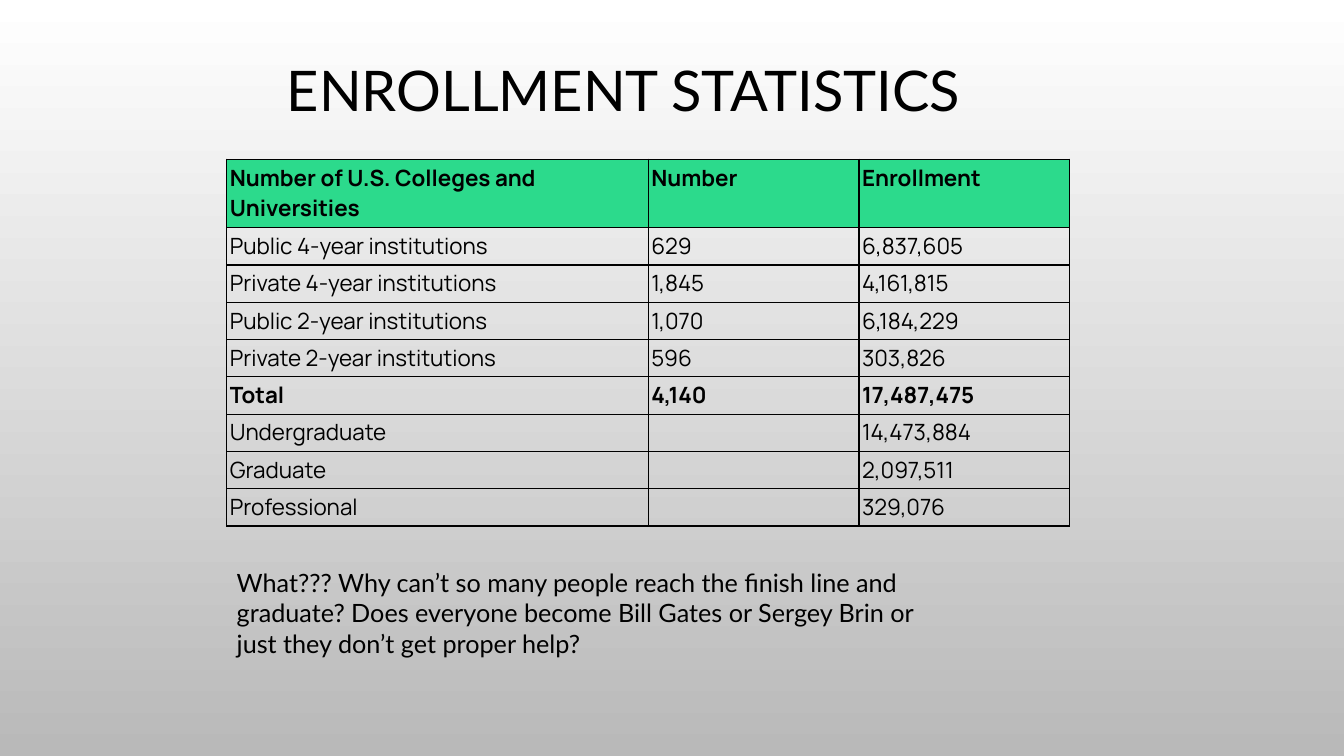
"""Build the enrollment statistics slide with its table and closing question."""
from dataclasses import dataclass

from lxml.etree import SubElement
from pptx import Presentation
from pptx.dml.color import RGBColor
from pptx.enum.text import MSO_ANCHOR, MSO_AUTO_SIZE, PP_ALIGN
from pptx.oxml.ns import qn
from pptx.slide import Slide
from pptx.table import _Cell
from pptx.text.text import _Paragraph
from pptx.util import Emu, Pt

EMU_PER_PX = 9144
BLACK = "000000"
HEADER_GREEN = "2CDA8C"
COLUMN_WIDTHS = (418, 209, 209)
HEADER_HEIGHT, ROW_HEIGHT = 68, 37
CELL_MARGIN = 3


@dataclass(frozen=True)
class Box:
    left: int
    top: int
    width: int
    height: int

    def emu(self) -> tuple[Emu, Emu, Emu, Emu]:
        return px(self.left), px(self.top), px(self.width), px(self.height)


@dataclass(frozen=True)
class EnrollmentRow:
    label: str
    number: str
    enrollment: str
    bold: bool = False
    fill: str | None = None


ROWS = (
    EnrollmentRow("Number of U.S. Colleges and Universities", "Number", "Enrollment",
                  bold=True, fill=HEADER_GREEN),
    EnrollmentRow("Public 4-year institutions", "629", "6,837,605"),
    EnrollmentRow("Private 4-year institutions", "1,845", "4,161,815"),
    EnrollmentRow("Public 2-year institutions", "1,070", "6,184,229"),
    EnrollmentRow("Private 2-year institutions", "596", "303,826"),
    EnrollmentRow("Total", "4,140", "17,487,475", bold=True),
    EnrollmentRow("Undergraduate", "", "14,473,884"),
    EnrollmentRow("Graduate", "", "2,097,511"),
    EnrollmentRow("Professional", "", "329,076"),
)


def px(length: int) -> Emu:
    return Emu(length * EMU_PER_PX)


def color(hex_code: str) -> RGBColor:
    return RGBColor.from_string(hex_code)


def style(paragraph: _Paragraph, font_name: str, size: int, bold: bool = False) -> None:
    font = paragraph.font
    font.name, font.size, font.bold = font_name, Pt(size), bold
    font.color.rgb = color(BLACK)


def paint_background(slide: Slide) -> None:
    fill = slide.background.fill
    fill.gradient()
    fill.gradient_angle = 270
    for stop, shade in zip(fill.gradient_stops, ("FFFFFF", "B9B9B9")):
        stop.color.rgb = color(shade)


def add_borders(cell: _Cell) -> None:
    properties = cell._tc.get_or_add_tcPr()
    for side in ("a:lnL", "a:lnR", "a:lnT", "a:lnB"):
        line = SubElement(properties, qn(side), w=str(Pt(1)))
        solid = SubElement(line, qn("a:solidFill"))
        SubElement(solid, qn("a:srgbClr"), val=BLACK)


def fill_cell(cell: _Cell, text: str, row: EnrollmentRow) -> None:
    cell.text = text
    cell.margin_left = cell.margin_right = px(CELL_MARGIN)
    cell.margin_top = cell.margin_bottom = px(CELL_MARGIN)
    style(cell.text_frame.paragraphs[0], "Manrope", 16, row.bold)
    add_borders(cell)
    if row.fill:
        cell.fill.solid()
        cell.fill.fore_color.rgb = color(row.fill)
    else:
        cell.fill.background()


def add_enrollment_table(slide: Slide, left: int, top: int) -> None:
    heights = [HEADER_HEIGHT] + [ROW_HEIGHT] * (len(ROWS) - 1)
    box = Box(left, top, sum(COLUMN_WIDTHS), sum(heights))
    table = slide.shapes.add_table(len(ROWS), len(COLUMN_WIDTHS), *box.emu()).table
    table.horz_banding = False
    for column, width in zip(table.columns, COLUMN_WIDTHS):
        column.width = px(width)
    for table_row, height, row in zip(table.rows, heights, ROWS):
        table_row.height = px(height)
        for cell, text in zip(table_row.cells, (row.label, row.number, row.enrollment)):
            fill_cell(cell, text, row)


def set_title(slide: Slide, text: str, box: Box) -> None:
    title = slide.shapes.title
    title.left, title.top, title.width, title.height = box.emu()
    frame = title.text_frame
    frame.text = text
    frame.auto_size = MSO_AUTO_SIZE.NONE
    frame.vertical_anchor = MSO_ANCHOR.BOTTOM
    heading = frame.paragraphs[0]
    heading.alignment = PP_ALIGN.CENTER
    heading.line_spacing = 0.9
    style(heading, "Lato", 40)


def add_question(slide: Slide, text: str, box: Box) -> None:
    frame = slide.shapes.add_textbox(*box.emu()).text_frame
    frame.word_wrap = True
    frame.auto_size = MSO_AUTO_SIZE.SHAPE_TO_FIT_TEXT
    frame.text = text
    style(frame.paragraphs[0], "Lato", 18)


def main() -> None:
    presentation = Presentation()
    presentation.slide_width, presentation.slide_height = px(1333), px(750)
    slide = presentation.slides.add_slide(presentation.slide_layouts[5])
    paint_background(slide)
    set_title(slide, "ENROLLMENT STATISTICS", Box(267, 17, 703, 111))
    add_enrollment_table(slide, 225, 158)
    add_question(
        slide,
        "What??? Why can’t so many people reach the finish line and graduate? "
        "Does everyone become Bill Gates or Sergey Brin or just they don’t get proper help?",
        Box(225, 558, 730, 101),
    )
    presentation.save("out.pptx")


if __name__ == "__main__":
    main()
